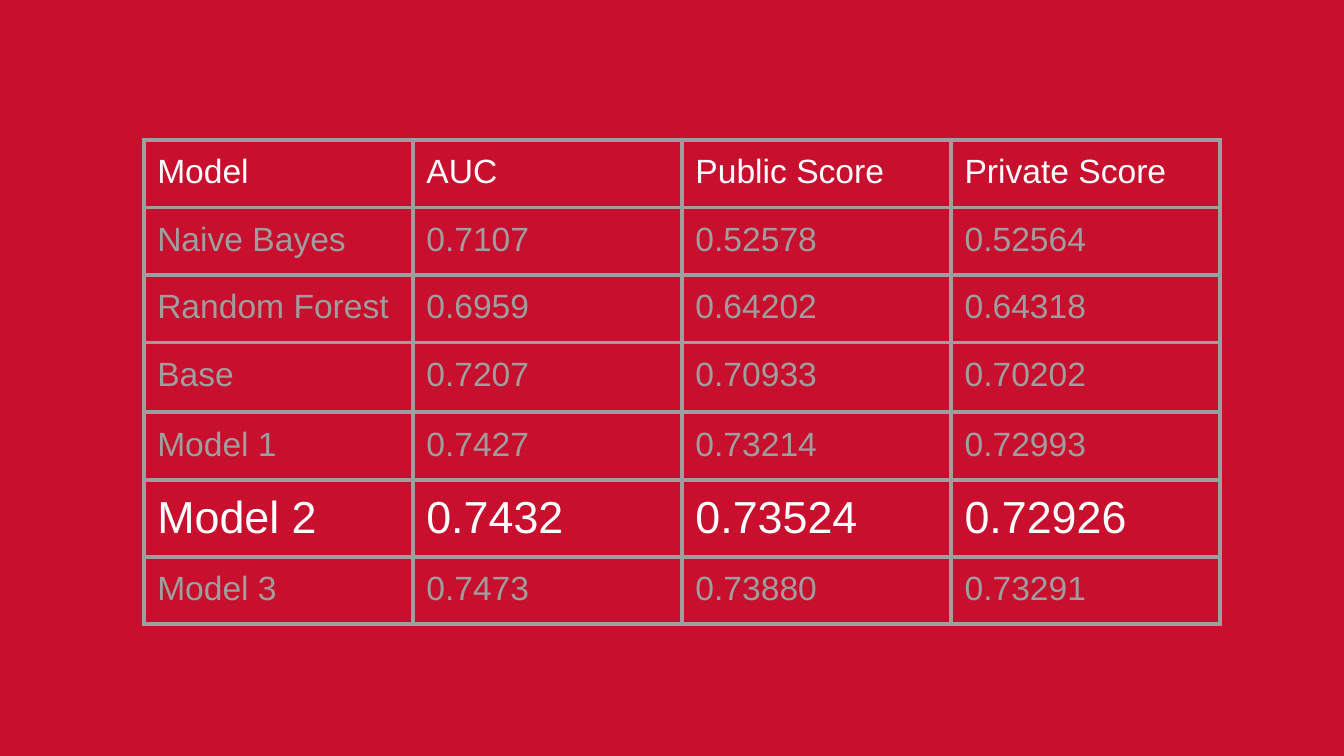
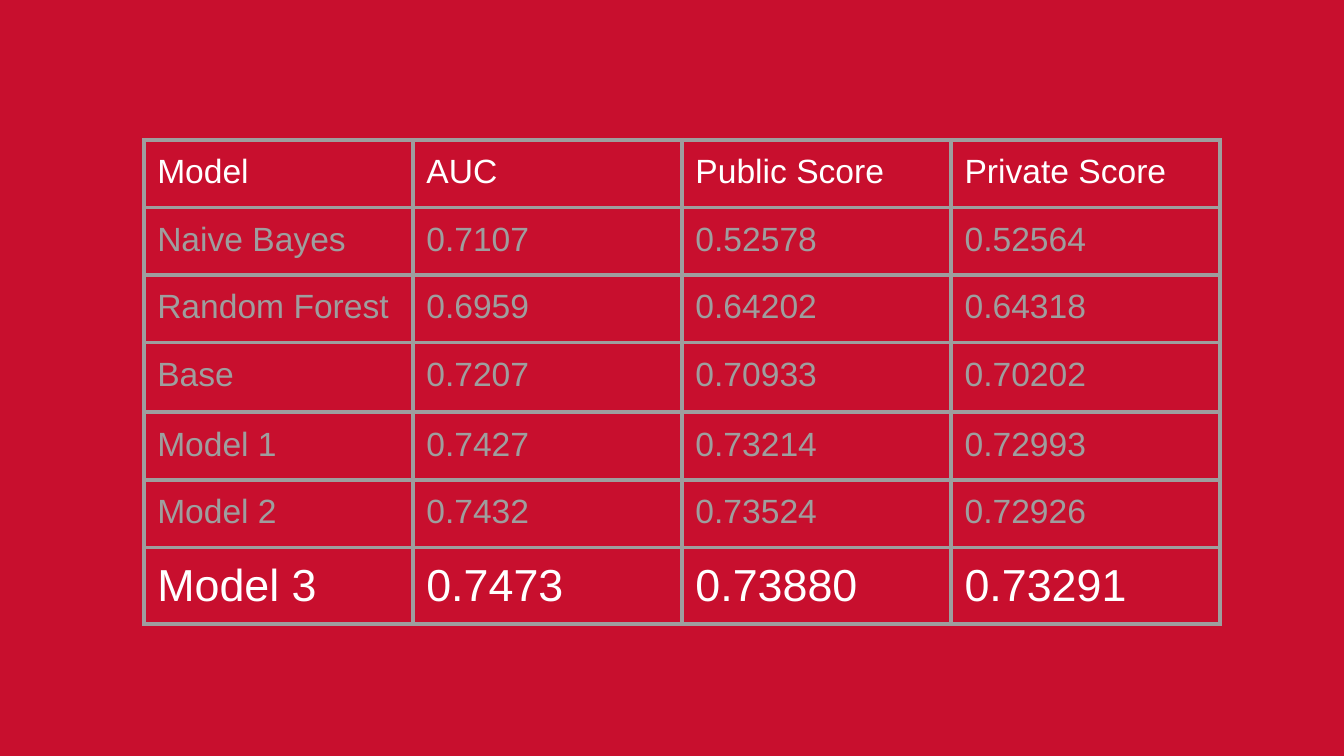
from dataclasses import dataclass

from lxml import etree
from pptx import Presentation
from pptx.dml.color import RGBColor
from pptx.oxml.ns import qn
from pptx.util import Inches, Pt

BLANK_LAYOUT = 6
SLIDE_WIDTH = 10
SLIDE_HEIGHT = SLIDE_WIDTH * 9 / 16
TABLE_BOX = (1.07, 1.04, 8.01, 3.54)
BASE_ROW = 3
BORDER_TAGS = ("a:lnL", "a:lnR", "a:lnT", "a:lnB")


@dataclass(frozen=True)
class Theme:
    background: str = "C80F2E"
    strong: str = "FFFFFF"
    muted: str = "9E9E9E"
    font: str = "Arial"
    body_size: int = 18
    highlight_size: int = 24
    border_width: float = 2.25
    cell_margin: float = 0.1
    row_height: float = 36.2
    base_row_height: float = 37.4


THEME = Theme()

SCORES = [
    ("Model", "AUC", "Public Score", "Private Score"),
    ("Naive Bayes", "0.7107", "0.52578", "0.52564"),
    ("Random Forest", "0.6959", "0.64202", "0.64318"),
    ("Base", "0.7207", "0.70933", "0.70202"),
    ("Model 1", "0.7427", "0.73214", "0.72993"),
    ("Model 2", "0.7432", "0.73524", "0.72926"),
    ("Model 3", "0.7473", "0.73880", "0.73291"),
]
HIGHLIGHTED_MODELS = ("Model 2", "Model 3")


def set_attributes(target, values):
    for name, value in values.items():
        setattr(target, name, value)


def add_borders(cell):
    properties = cell._tc.get_or_add_tcPr()
    for position, tag in enumerate(BORDER_TAGS):
        line = etree.Element(qn(tag), w=str(int(Pt(THEME.border_width))))
        fill = etree.SubElement(line, qn("a:solidFill"))
        etree.SubElement(fill, qn("a:srgbClr"), val=THEME.muted)
        properties.insert(position, line)


def format_cell(cell, text, color, size):
    cell.fill.background()
    margin = Inches(THEME.cell_margin)
    sides = ("left", "right", "top", "bottom")
    set_attributes(cell, {f"margin_{side}": margin for side in sides})
    add_borders(cell)
    run = cell.text_frame.paragraphs[0].add_run()
    run.text = text
    set_attributes(run.font, {"name": THEME.font, "size": Pt(size), "bold": False})
    run.font.color.rgb = RGBColor.from_string(color)


def add_score_table(slide, box, highlighted_model):
    column_count = len(SCORES[0])
    frame = slide.shapes.add_table(len(SCORES), column_count, *map(Inches, box))
    table = frame.table
    set_attributes(table, {"first_row": False, "horz_banding": False})
    for column in table.columns:
        column.width = Inches(box[2] / column_count)
    for row_index, values in enumerate(SCORES):
        height = THEME.base_row_height if row_index == BASE_ROW else THEME.row_height
        table.rows[row_index].height = Pt(height)
        highlighted = values[0] == highlighted_model
        color = THEME.strong if highlighted or row_index == 0 else THEME.muted
        size = THEME.highlight_size if highlighted else THEME.body_size
        for column_index, text in enumerate(values):
            format_cell(table.cell(row_index, column_index), text, color, size)


def add_score_slide(presentation, highlighted_model):
    slide = presentation.slides.add_slide(presentation.slide_layouts[BLANK_LAYOUT])
    fill = slide.background.fill
    fill.solid()
    fill.fore_color.rgb = RGBColor.from_string(THEME.background)
    add_score_table(slide, TABLE_BOX, highlighted_model)


def main():
    presentation = Presentation()
    presentation.slide_width = Inches(SLIDE_WIDTH)
    presentation.slide_height = Inches(SLIDE_HEIGHT)
    for model in HIGHLIGHTED_MODELS:
        add_score_slide(presentation, model)
    presentation.save("out.pptx")


if __name__ == "__main__":
    main()
